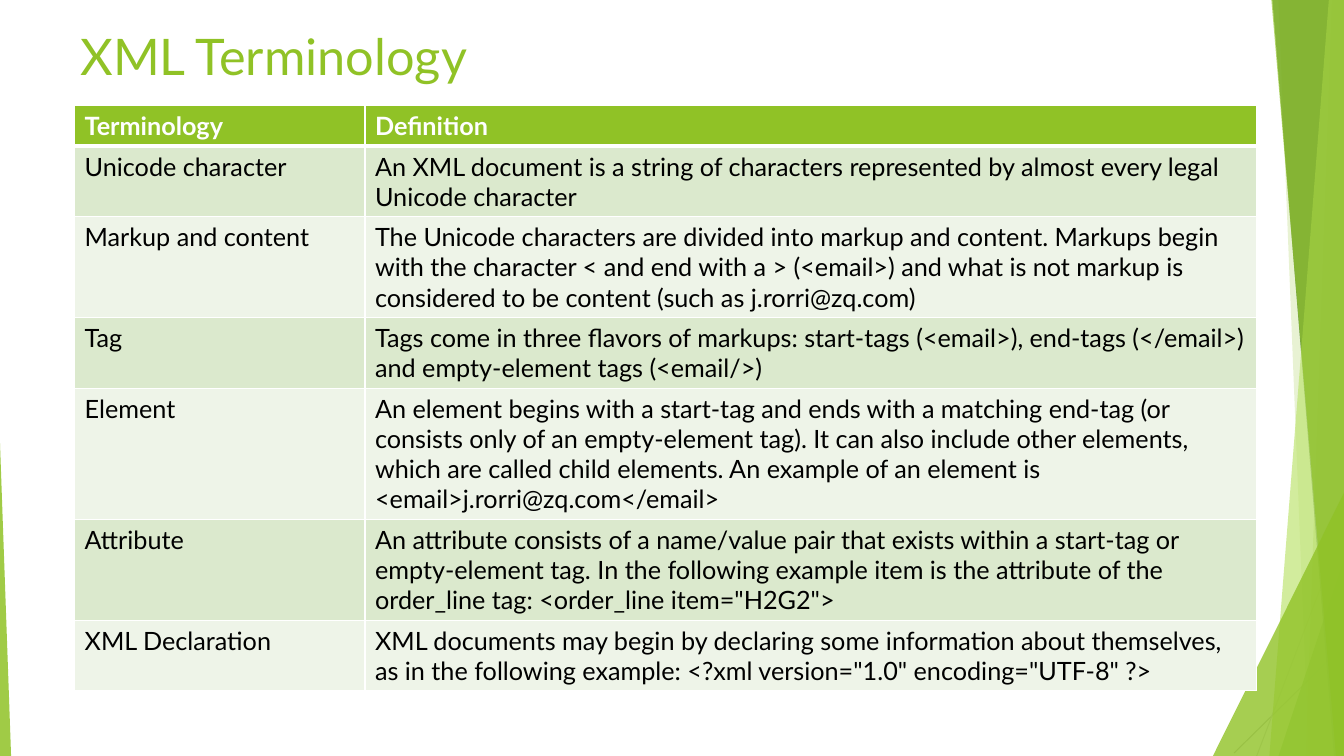
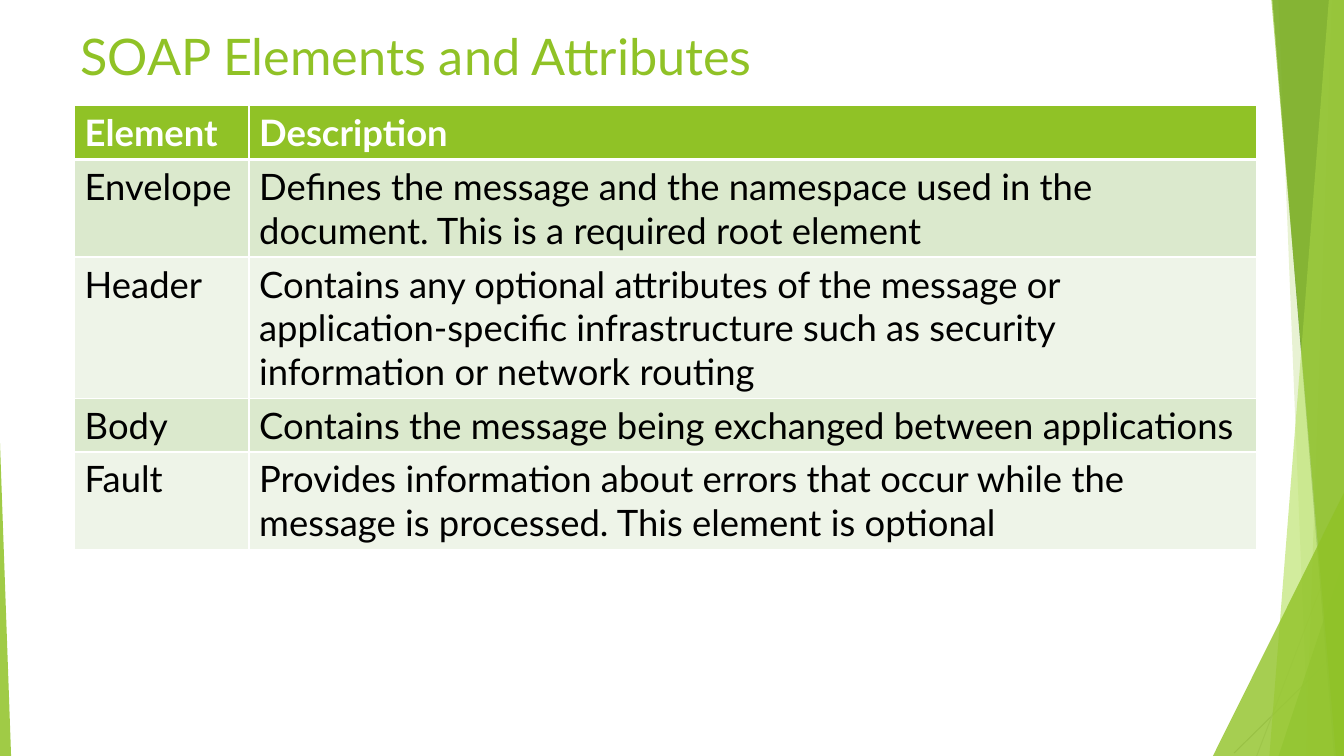
import dataclasses

import lxml.etree
import pptx
import pptx.dml.color
import pptx.enum.shapes
import pptx.enum.text
import pptx.oxml.ns
import pptx.util

PX = 9144  # EMU per px, 100 px to the inch
WIDTH, HEIGHT = 1333, 750


@dataclasses.dataclass(frozen=True)
class Theme:
    font: str = "Lato"
    title_size: int = 36
    green: str = "90C226"
    mid_green: str = "54A021"
    dark_green: str = "3F7819"
    pale_green: str = "C0E474"
    white: str = "FFFFFF"
    black: str = "000000"
    grey: str = "BFBFBF"
    light_grey: str = "D9D9D9"
    row_fills: tuple = ("DBE9CD", "EEF4E8")
    thin_border: int = 1
    header_border: int = 3


THEME = Theme()

TITLE_BOX = (70, 18, 1176, 73)
TABLE_LEFT, TABLE_TOP = 74, 105
CELL_PADDING = 10  # top and bottom margins together
LINE_SPACING = 1.2

# Start x, start y, end x, end y, colour
CORNER_LINES = [
    (1330, 643, 1224, 747, THEME.grey),
    (1314, 572, 1235, 780, THEME.light_grey),
]

# A band runs down to the right edge: (top left x, top right x, bottom right x, bottom left x).
# A triangle is (left, top, width, peak position) and stands on the bottom edge.
FACETS = [
    ("band", (1321, WIDTH, WIDTH, 1295), THEME.green, 30),
    ("band", (1268, WIDTH, WIDTH, 1298), THEME.green, 20),
    ("triangle", (1268, 554, 65, 1), THEME.mid_green, 72),
    ("band", (1262, WIDTH, WIDTH, 1323), THEME.dark_green, 70),
    ("band", (1318, WIDTH, WIDTH, 1259), THEME.pale_green, 70),
    ("band", (1261, WIDTH, WIDTH, 1325), THEME.green, 65),
    ("triangle", (1203, 489, 130, 1), THEME.green, 80),
    ("triangle", (0, 440, 11, 0), THEME.green, 85),
]

# Each row: term, definition, number of text lines
SLIDES = [
    {
        "title": "XML Terminology",
        "size": 18,
        "columns": (288, 884),
        "rows": [
            ("Terminology", "Definition", 1),
            ("Unicode character",
             "An XML document is a string of characters represented by almost every legal "
             "Unicode character", 2),
            ("Markup and content",
             "The Unicode characters are divided into markup and content. Markups begin with "
             "the character < and end with a > (<email>) and what is not markup is considered "
             "to be content (such as j.rorri@zq.com)", 3),
            ("Tag",
             "Tags come in three flavors of markups: start-tags (<email>), end-tags (</email>) "
             "and empty-element tags (<email/>)", 2),
            ("Element",
             "An element begins with a start-tag and ends with a matching end-tag (or consists "
             "only of an empty-element tag). It can also include other elements, which are "
             "called child elements. An example of an element is "
             "<email>j.rorri@zq.com</email>", 4),
            ("Attribute",
             "An attribute consists of a name/value pair that exists within a start-tag or "
             "empty-element tag. In the following example item is the attribute of the "
             'order_line tag: <order_line item="H2G2">', 3),
            ("XML Declaration",
             "XML documents may begin by declaring some information about themselves, as in "
             'the following example: <?xml version="1.0" encoding="UTF-8" ?>', 2),
        ],
    },
    {
        "title": "SOAP Elements and Attributes",
        "size": 26,
        "columns": (173, 999),
        "rows": [
            ("Element", "Description", 1),
            ("Envelope",
             "Defines the message and the namespace used in the document. This is a required "
             "root element", 2),
            ("Header",
             "Contains any optional attributes of the message or application-specific "
             "infrastructure such as security information or network routing", 3),
            ("Body", "Contains the message being exchanged between applications", 1),
            ("Fault",
             "Provides information about errors that occur while the message is processed. "
             "This element is optional", 2),
        ],
    },
]


def emu(*lengths):
    return [round(length * PX) for length in lengths]


def rgb(colour):
    return pptx.dml.color.RGBColor.from_string(colour)


def qualified(tag):
    return pptx.oxml.ns.qn(tag)


def add_run(text_frame, text, size, colour, bold=False):
    run = text_frame.paragraphs[0].add_run()
    run.text = text
    run.font.name = THEME.font
    run.font.size = pptx.util.Pt(size)
    run.font.bold = bold
    run.font.color.rgb = rgb(colour)


def add_corner_line(slide, start_x, start_y, end_x, end_y, colour):
    connector = slide.shapes.add_connector(
        pptx.enum.shapes.MSO_CONNECTOR.STRAIGHT, *emu(start_x, start_y, end_x, end_y))
    connector.line.color.rgb = rgb(colour)
    connector.line.width = pptx.util.Pt(0.75)
    properties = connector.element.find(qualified("p:spPr"))
    lxml.etree.SubElement(properties, qualified("a:effectLst"))


def add_facet(slide, kind, geometry, colour, opacity):
    """Draw one translucent piece of the side decoration."""
    if kind == "band":
        top_left, top_right, bottom_right, bottom_left = geometry
        builder = slide.shapes.build_freeform(top_left, 0, scale=PX)
        builder.add_line_segments(
            [(top_right, 0), (bottom_right, HEIGHT), (bottom_left, HEIGHT)], close=True)
        shape = builder.convert_to_shape()
    else:
        left, top, width, peak = geometry
        shape = slide.shapes.add_shape(
            pptx.enum.shapes.MSO_SHAPE.ISOSCELES_TRIANGLE,
            *emu(left, top, width, HEIGHT - top))
        shape.adjustments[0] = peak
    shape.shadow.inherit = False
    shape.line.fill.background()
    shape.fill.solid()
    shape.fill.fore_color.rgb = rgb(colour)
    fill_colour = next(shape.element.iter(qualified("a:srgbClr")))
    lxml.etree.SubElement(fill_colour, qualified("a:alpha"), val=str(opacity * 1000))


def add_title(slide, title):
    text_frame = slide.shapes.add_textbox(*emu(*TITLE_BOX)).text_frame
    text_frame.word_wrap = True
    text_frame.vertical_anchor = pptx.enum.text.MSO_ANCHOR.MIDDLE
    add_run(text_frame, title, THEME.title_size, THEME.green)


def set_borders(cell, row_index):
    """Give a cell white borders, thicker between header and body."""
    thick_side = {0: "lnB", 1: "lnT"}.get(row_index)
    properties = cell._tc.get_or_add_tcPr()
    for position, side in enumerate(("lnL", "lnR", "lnT", "lnB")):
        points = THEME.header_border if side == thick_side else THEME.thin_border
        border = lxml.etree.Element(
            qualified("a:" + side), w=str(pptx.util.Pt(points)))
        fill = lxml.etree.SubElement(border, qualified("a:solidFill"))
        lxml.etree.SubElement(fill, qualified("a:srgbClr"), val=THEME.white)
        properties.insert(position, border)


def add_definition_table(slide, rows, columns, size):
    line_height = size * LINE_SPACING * 100 / 72
    heights = [lines * line_height + CELL_PADDING for *_, lines in rows]
    table = slide.shapes.add_table(
        len(rows), len(columns),
        *emu(TABLE_LEFT, TABLE_TOP, sum(columns), sum(heights))).table
    for column, width in zip(table.columns, emu(*columns)):
        column.width = width
    for row, height in zip(table.rows, emu(*heights)):
        row.height = height
    for row_index, (*texts, _) in enumerate(rows):
        header = row_index == 0
        fill = THEME.green if header else THEME.row_fills[(row_index - 1) % 2]
        for column_index, text in enumerate(texts):
            cell = table.cell(row_index, column_index)
            cell.fill.solid()
            cell.fill.fore_color.rgb = rgb(fill)
            set_borders(cell, row_index)
            add_run(cell.text_frame, text, size,
                    THEME.white if header else THEME.black, bold=header)


def main():
    presentation = pptx.Presentation()
    presentation.slide_width, presentation.slide_height = emu(WIDTH, HEIGHT)
    for content in SLIDES:
        slide = presentation.slides.add_slide(presentation.slide_layouts[6])
        for line in CORNER_LINES:
            add_corner_line(slide, *line)
        for facet in FACETS:
            add_facet(slide, *facet)
        add_title(slide, content["title"])
        add_definition_table(slide, content["rows"], content["columns"], content["size"])
    presentation.save("out.pptx")


if __name__ == "__main__":
    main()
